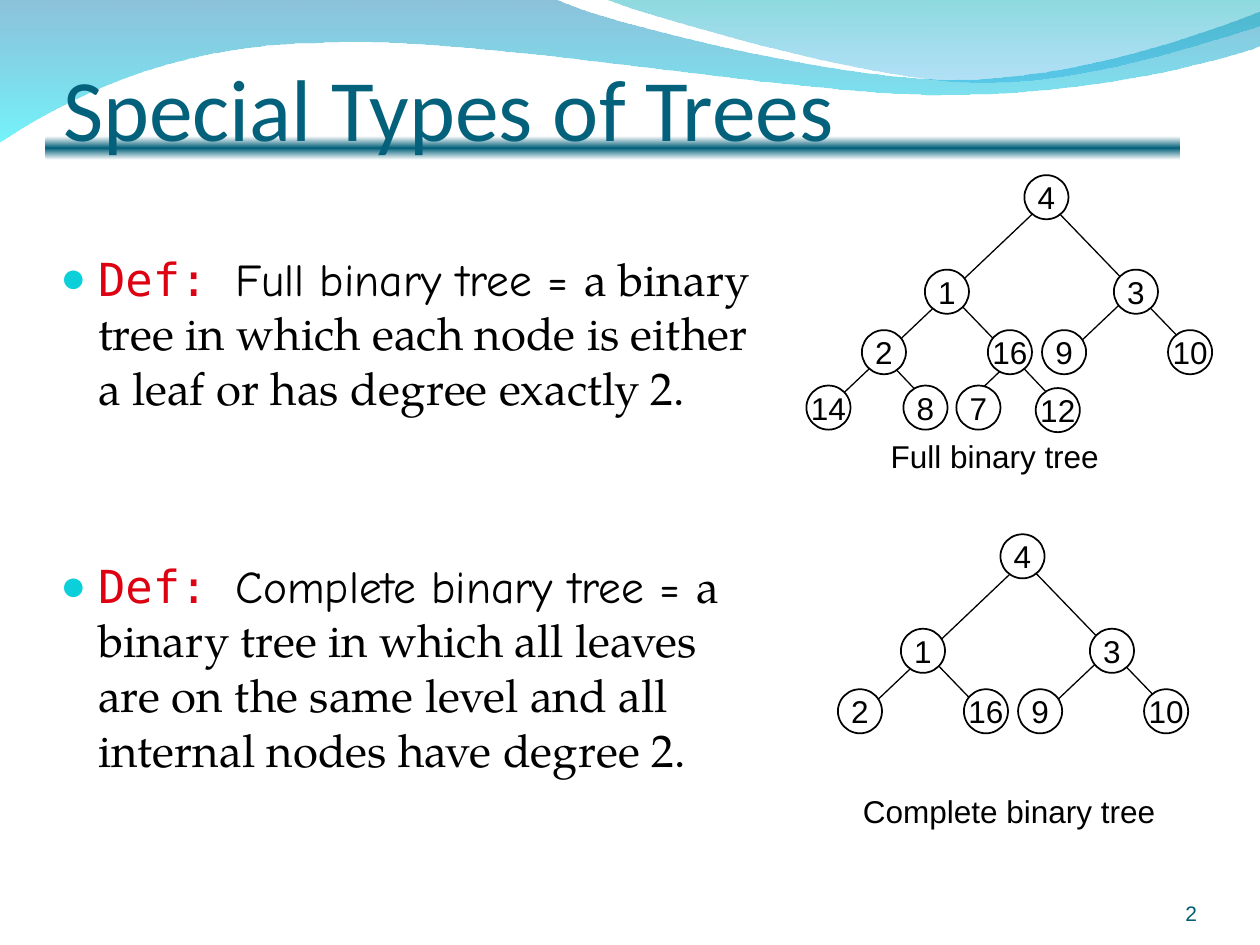
from dataclasses import dataclass

from lxml import etree
from pptx import Presentation
from pptx.dml.color import RGBColor
from pptx.enum.shapes import MSO_CONNECTOR, MSO_SHAPE
from pptx.enum.text import MSO_ANCHOR, MSO_AUTO_SIZE, PP_ALIGN
from pptx.oxml import parse_xml
from pptx.oxml.ns import nsdecls, qn
from pptx.util import Pt

PX = 9144  # 100 px to the inch
NODE_SIZE = 35
COLORS = {
    "white": "FFFFFF", "black": "000000", "title": "04617B", "number": "045C75",
    "term": "DD0111", "bullet": "0BD0D9", "wave_blue": "0079AF",
    "wave_cyan": "00EBF8", "crest_teal": "00ADB6", "crest_blue": "009BE5",
}


@dataclass(frozen=True)
class Stop:
    position: int
    color: str
    opacity: int = 100


@dataclass(frozen=True)
class Node:
    label: str
    x: int
    y: int


@dataclass(frozen=True)
class Edge:
    x1: int
    y1: int
    x2: int
    y2: int


@dataclass(frozen=True)
class Caption:
    text: str
    x: int
    y: int
    width: int


@dataclass(frozen=True)
class Definition:
    term: str
    meaning: str
    space_before: int


# Both trees share these top three levels.
TOP_NODES = [
    Node("4", 813, 139), Node("1", 734, 214), Node("3", 884, 214),
    Node("2", 684, 262), Node("16", 784, 262), Node("9", 827, 262),
    Node("10", 927, 262),
]
TOP_EDGES = [Edge(845, 283, 901, 230), Edge(803, 284, 749, 228),
             Edge(954, 287, 820, 148)]
LEAF_NODES = [Node("14", 640, 306), Node("8", 717, 306), Node("7", 759, 306),
              Node("12", 822, 308)]
LEAF_EDGES = [Edge(659, 322, 834, 156), Edge(853, 335, 795, 274),
              Edge(764, 323, 809, 280), Edge(748, 332, 690, 271)]
SHORT_LEFT_EDGE = Edge(696, 289, 837, 155)

DEFINITIONS = [
    Definition("Full binary tree = ",
               "a binary tree in which each node is either a leaf or has "
               "degree exactly 2.", 0),
    Definition("Complete binary tree = ",
               "a binary tree in which all leaves are on the same level and "
               "all internal nodes have degree 2.", 82),
]

# Each segment is one point for a line, or three for a Bézier curve.
WAVE = [[(0, -1)], [(440, -1)], [(476, 17), (664, 63), (758, 63)],
        [(853, 63), (958, 26), (1000, 9)], [(1001, 36)],
        [(983, 44), (870, 76), (746, 75)], [(622, 75), (382, 28), (257, 34)],
        [(129, 35), (46, 83), (-1, 113)]]
CREST = [[(479, -1)], [(509, 11), (682, 62), (769, 65)],
         [(856, 69), (961, 32), (1000, 21)], [(1000, 0)]]


def rgb(name: str) -> RGBColor:
    return RGBColor.from_string(COLORS[name])


def style(font, name: str, size: int, color: str) -> None:
    font.name, font.size = name, Pt(size)
    font.color.rgb = rgb(color)


def fill_gradient(shape, stops: list[Stop]) -> None:
    """Fill from top to bottom, with no outline."""
    shape.shadow.inherit = False
    shape.line.fill.background()
    stop_xml = "".join(
        f'<a:gs pos="{stop.position * 1000}"><a:srgbClr val="{COLORS[stop.color]}">'
        f'<a:alpha val="{stop.opacity * 1000}"/></a:srgbClr></a:gs>' for stop in stops)
    gradient = parse_xml(f'<a:gradFill {nsdecls("a")} rotWithShape="1"><a:gsLst>{stop_xml}'
                         '</a:gsLst><a:lin ang="5400000" scaled="0"/></a:gradFill>')
    shape.line._get_or_add_ln().addprevious(gradient)


def draw_wave(page, outline: list, stops: list[Stop]) -> None:
    """Lay every point as a line, then join each group of three into a curve."""
    points = [point for segment in outline for point in segment]
    builder = page.shapes.build_freeform(*points[0], scale=PX)
    builder.add_line_segments(points[1:], close=True)
    wave = builder.convert_to_shape()
    lines = iter(list(wave.element.iter(qn("a:lnTo"))))
    for segment in outline[1:]:
        group = [next(lines) for _ in segment]
        if len(group) == 3:
            curve = parse_xml(f'<a:cubicBezTo {nsdecls("a")}/>')
            group[0].addprevious(curve)
            for line in group:
                curve.append(line[0])
                line.getparent().remove(line)
    fill_gradient(wave, stops)


def add_text_box(shapes, x: int, y: int, width: int, height: int, wrap: bool = True):
    frame = shapes.add_textbox(x * PX, y * PX, width * PX, height * PX).text_frame
    frame.word_wrap = wrap
    return frame


def draw_edge(shapes, edge: Edge, dx: int, dy: int) -> None:
    line = shapes.add_connector(
        MSO_CONNECTOR.STRAIGHT, (edge.x1 + dx) * PX, (edge.y1 + dy) * PX,
        (edge.x2 + dx) * PX, (edge.y2 + dy) * PX)
    line.line.color.rgb, line.line.width = rgb("black"), Pt(0.75)
    etree.SubElement(line.element.spPr, qn("a:effectLst"))


def draw_node(shapes, node: Node, dx: int, dy: int) -> None:
    circle = shapes.add_shape(MSO_SHAPE.OVAL, (node.x + dx) * PX, (node.y + dy) * PX,
                              NODE_SIZE * PX, NODE_SIZE * PX)
    circle.shadow.inherit = False
    circle.fill.solid()
    circle.fill.fore_color.rgb = rgb("white")
    circle.line.color.rgb, circle.line.width = rgb("black"), Pt(1)
    frame = circle.text_frame
    frame.text, frame.word_wrap = node.label, False
    frame.vertical_anchor = MSO_ANCHOR.MIDDLE
    para = frame.paragraphs[0]
    para.alignment = PP_ALIGN.CENTER
    style(para.runs[0].font, "Arial", 18, "black")


def draw_tree(page, nodes: list[Node], edges: list[Edge], caption: Caption,
              dx: int = 0, dy: int = 0) -> None:
    shapes = page.shapes.add_group_shape().shapes
    for edge in edges:
        draw_edge(shapes, edge, dx, dy)
    for node in nodes:
        draw_node(shapes, node, dx, dy)
    frame = add_text_box(shapes, caption.x, caption.y, caption.width, 40, wrap=False)
    frame.text = caption.text
    style(frame.paragraphs[0].runs[0].font, "Arial", 18, "black")


def write_definition(para, definition: Definition) -> None:
    properties = para._p.get_or_add_pPr()
    properties.set("marL", str(30 * PX))
    properties.set("indent", str(-30 * PX))
    for tag in (f'buClr {nsdecls("a")}><a:srgbClr val="{COLORS["bullet"]}"/></a:buClr',
                f'buSzPct {nsdecls("a")} val="95000"/',
                f'buFont {nsdecls("a")} typeface="Arial"/',
                f'buChar {nsdecls("a")} char="●"/'):
        properties.append(parse_xml(f"<a:{tag}>"))
    para.space_before = Pt(definition.space_before)
    for text, font, color in (("Def: ", "DejaVu Sans Mono", "term"),
                              (definition.term, "Comic Neue", "black"),
                              (definition.meaning, "TeX Gyre Pagella", "black")):
        span = para.add_run()
        span.text = text
        style(span.font, font, 26, color)


def write_title(page) -> None:
    title = page.shapes.title
    title.left, title.top, title.width, title.height = (
        50 * PX, 1 * PX, 900 * PX, 125 * PX)
    frame = title.text_frame
    frame.text = "Special Types of Trees"
    frame.auto_size, frame.word_wrap = MSO_AUTO_SIZE.NONE, True
    frame.vertical_anchor = MSO_ANCHOR.BOTTOM
    frame.margin_left = frame.margin_right = frame.margin_bottom = 0
    frame.paragraphs[0].alignment = PP_ALIGN.LEFT
    style(frame.paragraphs[0].runs[0].font, "Calibri", 50, "title")
    title.element.getparent().append(title.element)  # in front of the bar


def write_page_number(page) -> None:
    frame = add_text_box(page.shapes, 867, 695, 83, 40)
    frame.text, frame.vertical_anchor = "2", MSO_ANCHOR.BOTTOM
    frame.margin_left = frame.margin_right = frame.margin_top = frame.margin_bottom = 0
    frame.paragraphs[0].alignment = PP_ALIGN.RIGHT
    style(frame.paragraphs[0].runs[0].font, "Arial", 12, "number")


def main() -> None:
    deck = Presentation()
    deck.slide_width, deck.slide_height = 1000 * PX, 750 * PX
    page = deck.slides.add_slide(deck.slide_layouts[5])
    draw_wave(page, WAVE, [Stop(0, "wave_blue", 45), Stop(100, "wave_cyan", 55)])
    draw_wave(page, CREST, [Stop(0, "crest_teal", 45), Stop(100, "crest_blue", 30)])
    bar = page.shapes.add_shape(MSO_SHAPE.ROUNDED_RECTANGLE,
                                36 * PX, 108 * PX, 901 * PX, 19 * PX)
    fill_gradient(bar, [Stop(0, "white"), Stop(50, "title"), Stop(100, "white")])
    write_title(page)
    body = add_text_box(page.shapes, 38, 194, 579, 563)
    for index, definition in enumerate(DEFINITIONS):
        write_definition(body.add_paragraph() if index else body.paragraphs[0], definition)
    write_page_number(page)
    draw_tree(page, TOP_NODES + LEAF_NODES, TOP_EDGES + LEAF_EDGES,
              Caption("Full binary tree", 697, 342, 185))
    draw_tree(page, TOP_NODES, TOP_EDGES + [SHORT_LEFT_EDGE],
              Caption("Complete binary tree", 675, 624, 252), dx=-19, dy=285)
    deck.save("out.pptx")


if __name__ == "__main__":
    main()
